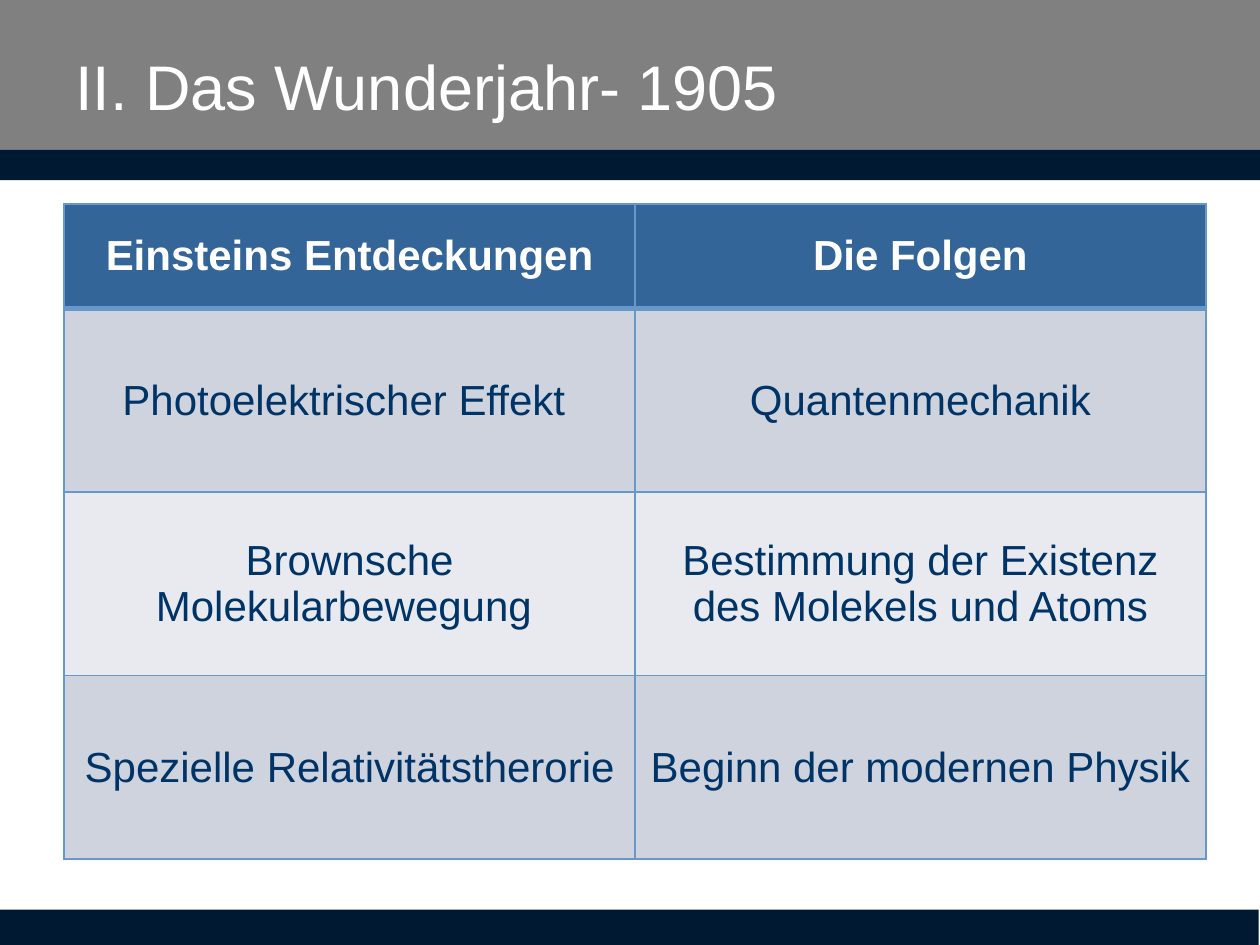
"""Build the slide on Einstein's 1905 discoveries and their consequences."""
import pptx
import pptx.dml.color
import pptx.enum.shapes
import pptx.enum.text
import pptx.oxml
import pptx.oxml.ns
import pptx.util

TITLE = "II. Das Wunderjahr- 1905"
ROWS = [
    (["Einsteins Entdeckungen"], ["Die Folgen"]),
    (["Photoelektrischer Effekt "], ["Quantenmechanik"]),
    (["Brownsche Molekularbewegung "],
     ["Bestimmung der Existenz", "des Molekels und Atoms"]),
    (["Spezielle Relativitätstherorie"], ["Beginn der modernen Physik"]),
]
COLORS = {"grey": "808080", "navy": "001933", "white": "FFFFFF", "header": "336599",
          "text": "003366", "odd": "CED3DE", "even": "E8EAEF", "border": "6698CC"}
BANDS = [("grey", 0, 0, 10, 1.31), ("navy", 0, 1.19, 10, 0.24), ("navy", 0, 7.22, 9.99, 0.28)]
TITLE_BOX = (0.5, 0.28, 9.07, 0.79)
TABLE_BOX = (0.51, 1.62, 9.06, 5.2)
HEADER_HEIGHT = 0.83
FONT = "Arial"


def inches(*values):
    return [pptx.util.Inches(v) for v in values]


def rgb(name):
    return pptx.dml.color.RGBColor.from_string(COLORS[name])


def paint(obj, color):
    obj.fill.solid()
    obj.fill.fore_color.rgb = rgb(color)


def write(tf, lines, size, color, bold=False, align=pptx.enum.text.PP_ALIGN.LEFT):
    for i, line in enumerate(lines):
        p = tf.add_paragraph() if i else tf.paragraphs[0]
        p.alignment = align
        r = p.add_run()
        r.text = line
        r.font.name, r.font.size, r.font.bold = FONT, pptx.util.Pt(size), bold
        r.font.color.rgb = rgb(color)


def add_borders(cell, top, bottom):
    tc_pr = cell._tc.get_or_add_tcPr()
    for side, width in (("L", 1), ("R", 1), ("T", top), ("B", bottom)):
        tc_pr.append(pptx.oxml.parse_xml(
            f'<a:ln{side} {pptx.oxml.ns.nsdecls("a")} w="{pptx.util.Pt(width)}">'
            f'<a:solidFill><a:srgbClr val="{COLORS["border"]}"/></a:solidFill></a:ln{side}>'))


def add_bands(s):
    for color, *box in BANDS:
        sp = s.shapes.add_shape(pptx.enum.shapes.MSO_SHAPE.RECTANGLE, *inches(*box))
        sp.shadow.inherit = False
        sp.line.fill.background()
        paint(sp, color)


def add_title(s):
    tf = s.shapes.add_textbox(*inches(*TITLE_BOX)).text_frame
    tf.word_wrap = True
    tf.vertical_anchor = pptx.enum.text.MSO_ANCHOR.MIDDLE
    write(tf, [TITLE], 36, "white")


def add_discoveries(s):
    n_rows, n_cols = len(ROWS), len(ROWS[0])
    table = s.shapes.add_table(n_rows, n_cols, *inches(*TABLE_BOX)).table
    body_height = (TABLE_BOX[3] - HEADER_HEIGHT) / (n_rows - 1)
    for col in table.columns:
        col.width = pptx.util.Inches(TABLE_BOX[2] / n_cols)
    for i, row in enumerate(ROWS):
        header = i == 0
        table.rows[i].height = pptx.util.Inches(HEADER_HEIGHT if header else body_height)
        for j, lines in enumerate(row):
            cell = table.cell(i, j)
            add_borders(cell, 3 if i == 1 else 1, 3 if header else 1)
            paint(cell, "header" if header else "odd" if i % 2 else "even")
            cell.vertical_anchor = pptx.enum.text.MSO_ANCHOR.MIDDLE
            write(cell.text_frame, lines, 24, "white" if header else "text", header,
                  pptx.enum.text.PP_ALIGN.CENTER)


def main():
    prs = pptx.Presentation()
    prs.slide_width, prs.slide_height = inches(10, 7.5)
    s = prs.slides.add_slide(prs.slide_layouts[6])
    add_bands(s)
    add_title(s)
    add_discoveries(s)
    prs.save("out.pptx")


if __name__ == "__main__":
    main()
